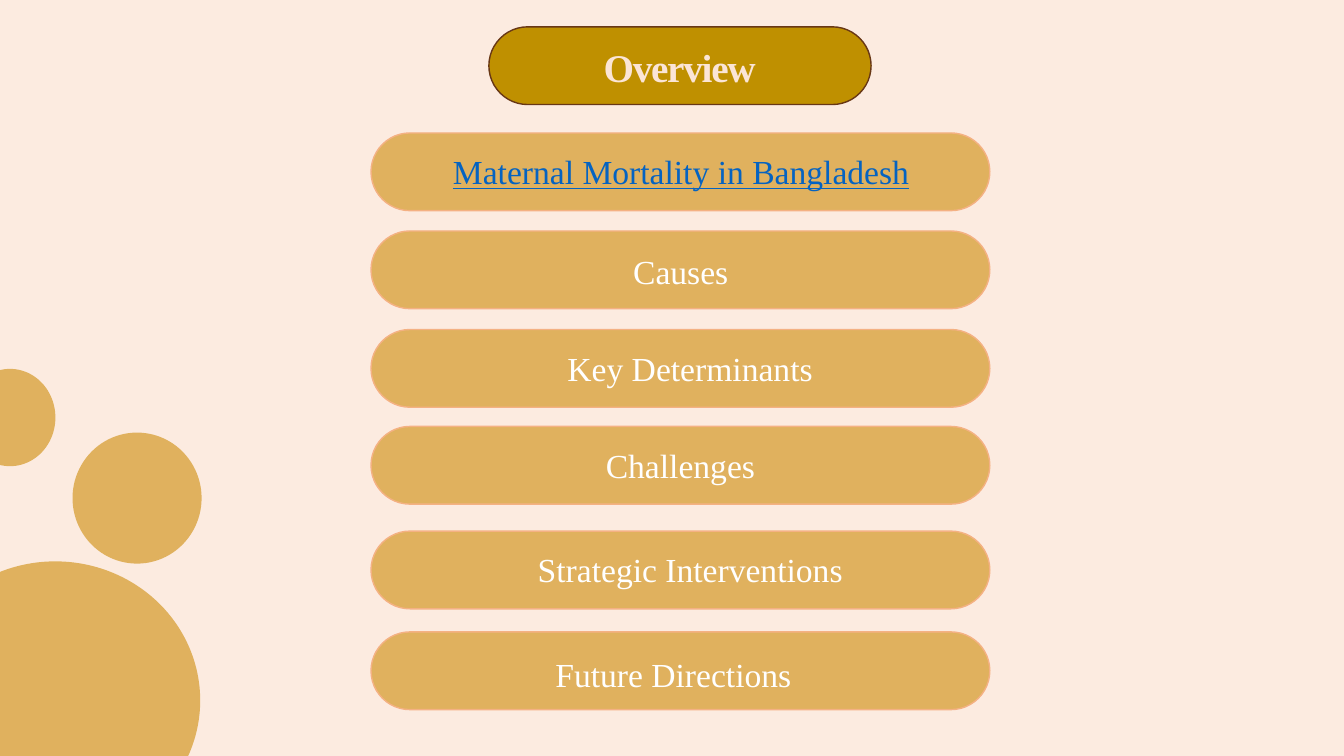
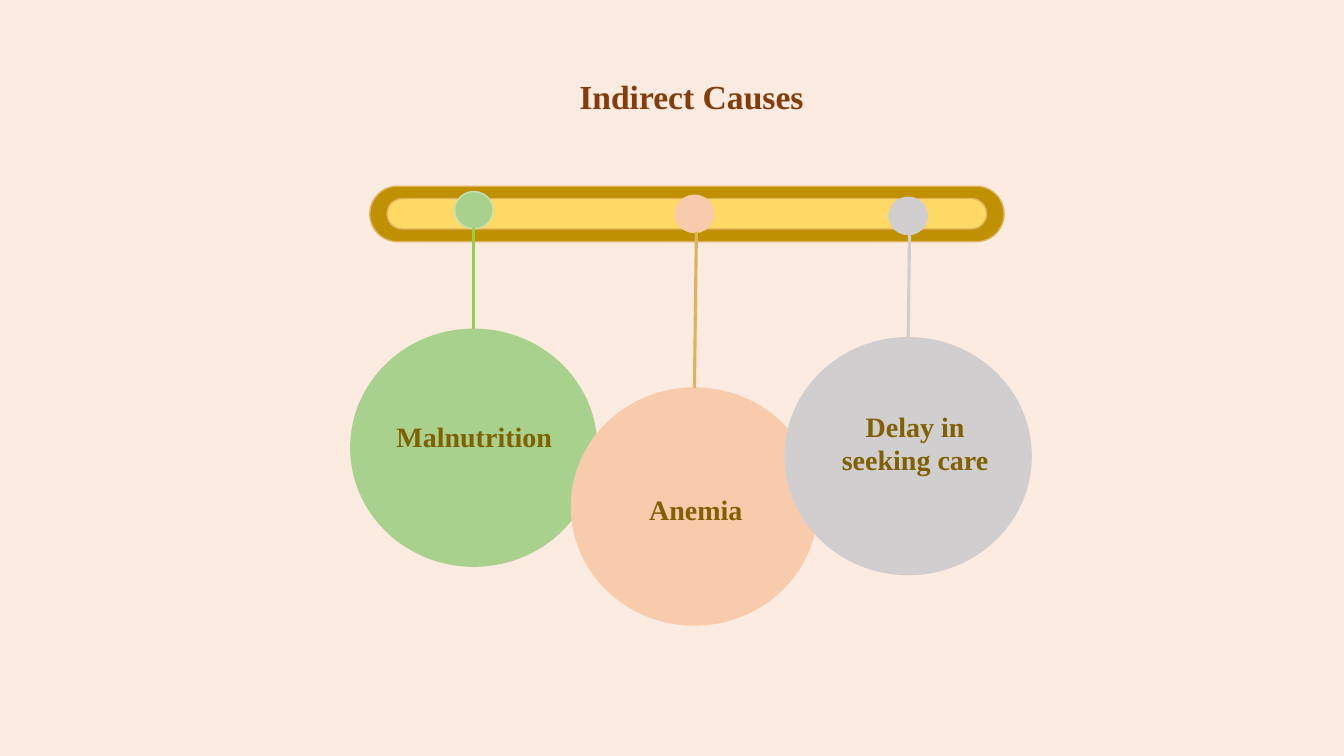
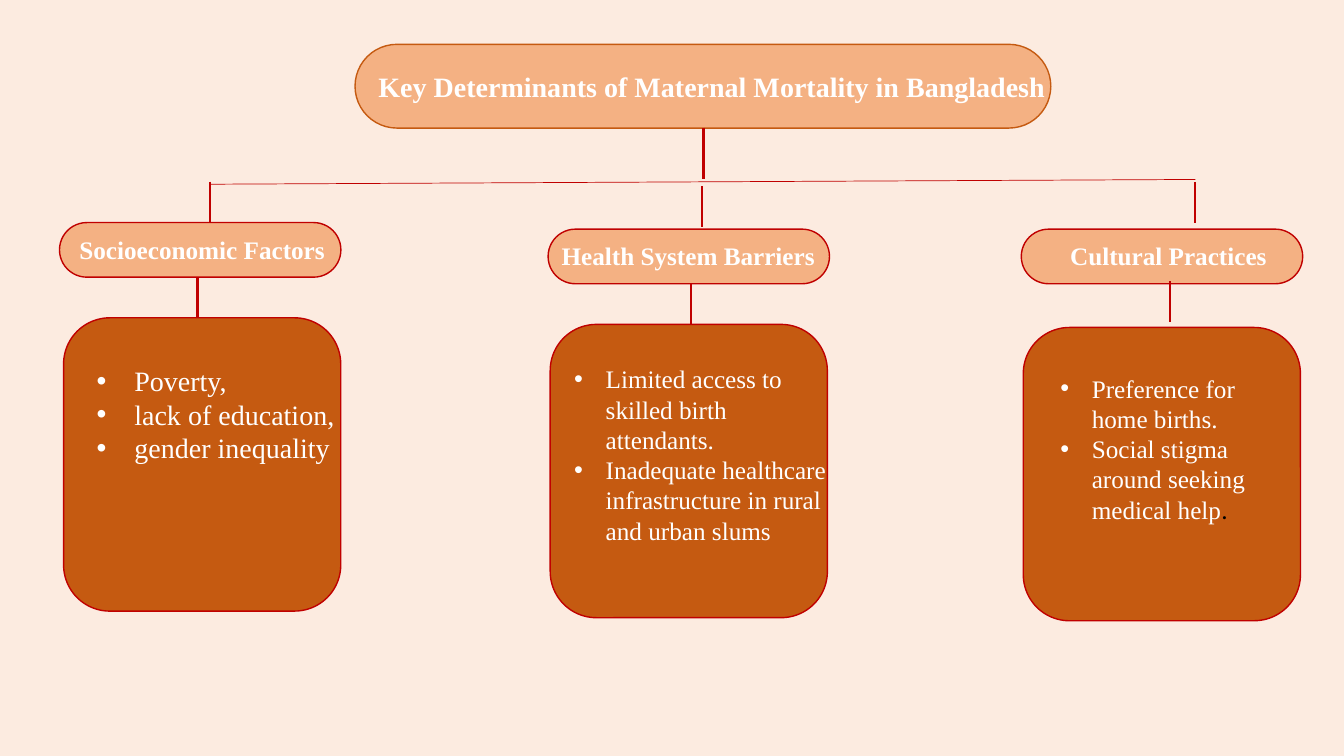
from dataclasses import dataclass

from pptx import Presentation
from pptx.dml.color import RGBColor
from pptx.enum import shapes, text
from pptx.oxml.ns import qn
from pptx.util import Pt
from lxml import etree


@dataclass(frozen=True)
class Theme:
    face: str = "Times New Roman"
    plain: str = "Calibri"
    back: str = "FCEBE0"
    gold: str = "BF9000"
    sand: str = "E0B15E"
    yellow: str = "FFD966"
    peach: str = "F4B183"
    rust: str = "C55A11"
    red: str = "C00000"
    umber: str = "683715"
    brown: str = "843C0B"
    olive: str = "806000"
    cream: str = "FBE5D6"
    blue: str = "0563C1"
    white: str = "FFFFFF"
    black: str = "000000"
    green: str = "A9D18E"
    mint: str = "C5E0B4"
    lime: str = "92D050"
    blush: str = "F8CBAD"
    gray: str = "D0CECE"
    banner: int = 28
    head: int = 24
    body: int = 20
    small: int = 18


T = Theme()
ROUND = shapes.MSO_SHAPE.ROUNDED_RECTANGLE
OVAL = shapes.MSO_SHAPE.OVAL
RECT = shapes.MSO_SHAPE.RECTANGLE


def shape(slide, kind, box, fill, edge=None, bend=None):
    item = slide.shapes.add_shape(kind, *map(Pt, box))
    item.shadow.inherit = False
    item.fill.solid()
    item.fill.fore_color.rgb = RGBColor.from_string(fill)
    if edge:
        item.line.color.rgb = RGBColor.from_string(edge)
        item.line.width = Pt(1)
    else:
        item.line.fill.background()
    if bend is not None:
        item.adjustments[0] = bend
    return item


def pill(slide, box, fill, edge):
    return shape(slide, ROUND, box, fill, edge, 0.5)


def line(slide, start, end, color, width):
    item = slide.shapes.add_connector(
        shapes.MSO_CONNECTOR.STRAIGHT, *map(Pt, (*start, *end)))
    item.line.color.rgb = RGBColor.from_string(color)
    item.line.width = Pt(width)
    etree.SubElement(item.element.spPr, qn("a:effectLst"))


def style(run, size, color, face=T.face, **form):
    run.font.color.rgb = RGBColor.from_string(color)
    for name, value in {"size": Pt(size), "name": face, **form}.items():
        setattr(run.font, name, value)


def label(slide, box, words, size, color, para=None, **form):
    """Add one centred line of text; para holds paragraph format values."""
    frame = textbox(slide, box)
    par = frame.paragraphs[0]
    values = {"alignment": text.PP_ALIGN.CENTER, **(para or {})}
    for name, value in values.items():
        setattr(par, name, value)
    run = par.add_run()
    run.text = words
    style(run, size, color, **form)
    return run


def textbox(slide, box):
    frame = slide.shapes.add_textbox(*map(Pt, box)).text_frame
    frame.word_wrap = True
    frame.auto_size = text.MSO_AUTO_SIZE.SHAPE_TO_FIT_TEXT
    return frame


def bullets(slide, box, items, size, indent):
    """Add a bulleted list; an item is a list of (words, format) runs."""
    frame = textbox(slide, box)
    for i, runs in enumerate(items):
        par = frame.add_paragraph() if i else frame.paragraphs[0]
        props = par._p.get_or_add_pPr()
        props.set("marL", str(Pt(indent)))
        props.set("indent", str(-Pt(indent)))
        etree.SubElement(props, qn("a:buFont"), typeface="Arial")
        etree.SubElement(props, qn("a:buChar"), char="•")
        for words, form in runs:
            run = par.add_run()
            run.text = words
            style(run, size, **{"color": T.white, **form})


def banner(slide, x, y):
    pill(slide, (x, y, 273, 55.5), T.gold, T.umber)
    box = (x + 31.5, y + 8, 209.5, 41)
    shape(slide, RECT, box, T.gold)
    run = label(slide, box, "Overview", T.banner, T.cream, bold=True)
    run.font._element.set("spc", "-90")


def topic(slide, x, y, words, dx, dy, width, **form):
    pill(slide, (x, y, 442, 55.5), T.sand, T.peach)
    label(slide, (x + dx, y + dy, width, 36), words, T.head,
          **{"color": T.white, **form})


def overview(slide):
    banner(slide, 349.2, 19.2)
    link = {"color": T.blue, "underline": True}
    for y, words, dx, dy, width, form in (
            (95, "Maternal Mortality in Bangladesh", 29.5, 9.4, 384, link),
            (165, "Causes", 69, 10.8, 304.5, {}),
            (235.4, "Key Determinants", 13.7, 9.4, 428.4, {}),
            (304.6, "Challenges", 0, 10, 442, {}),
            (379.4, "Strategic Interventions", 36, 9.4, 384, {}),
            (451.4, "Future Directions", 44, 12.2, 344, {})):
        topic(slide, 265, y, words, dx, dy, width, **form)
    for box in ((-64, 401, 207, 198.7), (51.8, 309, 92.2, 93.6),
                (-25.2, 263.5, 64.8, 69.5)):
        shape(slide, OVAL, box, T.sand)


def rail(slide, x, y):
    pill(slide, (x, y, 453, 39.6), T.gold, T.sand)
    pill(slide, (x + 12.2, y + 8.8, 428.4, 21.8), T.yellow, T.sand)


def pendant(slide, x, y, knob, lean, words, spot, fill, rim, cord, para):
    """Hang a disc at x, y from a knob on the rail."""
    wide, tall = 175.7, 169.2
    mid = x + wide / 2
    shape(slide, OVAL, (x, y, wide, tall), fill, fill)
    shape(slide, OVAL, (mid - 13.7, knob, 27.4, 26.6), fill, rim)
    line(slide, (mid + lean, knob + 26), (mid, y), cord, 2.25)
    dx, dy, width, height = spot
    label(slide, (x + dx, y + dy, width, height), words,
          T.body, T.olive, para, bold=True)


def causes(slide):
    rail(slide, 264.2, 133)
    loose = {"line_spacing": 1.15, "space_after": Pt(10)}
    for row in (
            (250.6, 235.2, 136.8, 0, "Malnutrition", (22.3, 57.6, 131.8, 35),
             T.green, T.mint, T.lime, loose),
            (408.2, 277.2, 139.5, 1.4, "Anemia", (43.2, 67.7, 91.4, 35),
             T.blush, T.blush, T.sand, loose),
            (560.9, 241.2, 141, 0.9, "Delay in seeking care",
             (18.7, 47.5, 148.3, 55.4), T.gray, T.gray, T.gray, None)):
        pendant(slide, *row)
    label(slide, (352.8, 50.4, 282.2, 36), "Indirect Causes",
          T.head, T.brown, bold=True)


def heading(slide, x, y):
    pill(slide, (x, y, 497, 59.8), T.peach, T.rust)
    label(slide, (x, y + 14.4, 509.8, 31.7),
          "Key Determinants of Maternal Mortality in Bangladesh",
          T.body, T.white, bold=True)


def column(slide, x, y, title, name, drop, stem, card, area, size, indent,
           items):
    """Place a titled card with its drop line and stem; offsets from x, y."""
    pill(slide, (x, y, 201, 39), T.peach, T.red)
    dx, dy, width = name
    label(slide, (x + dx, y + dy, width, 29), title, T.small, T.white,
          bold=True)
    shape(slide, ROUND, (x + card[0], y + card[1], 198, 209.5),
          T.rust, T.red)
    for dx, dy in (drop, stem):
        line(slide, (x + dx, y + dy), (x + dx, y + dy + 29.3), T.red, 1.5)
    dx, dy, width, height = area
    bullets(slide, (x + dx, y + dy, width, height), items, size, indent)


def factors(slide):
    heading(slide, 253.6, 31.7)
    line(slide, (502.6, 91.4), (502.6, 128.2), T.red, 2.25)
    line(slide, (149.8, 131.6), (853.9, 128.2), T.red, 0.5)
    dot = {"face": T.plain, "color": T.black}
    for row in (
            (42.5, 159, "Socioeconomic Factors", (2.9, 4.5, 198),
             (107.3, -29.3), (98.6, 39), (2.9, 68), (19.4, 97.3, 192.2, 80),
             T.body, 27,
             ([("Poverty,", {})], [("lack of education,", {})],
              [("gender inequality", {})])),
            (391.5, 163.7, "Health System Barriers", (-5, 4.7, 210.2),
             (110.2, -30.7), (102.2, 38.9), (1.5, 68),
             (11.6, 92.6, 194.4, 160), T.small, 22.5,
             ([("Limited access to skilled birth attendants.", {})],
              [("Inadequate healthcare infrastructure in rural "
                "and urban slums", {})])),
            (729.5, 163.7, "Cultural Practices", (21.6, 4.7, 167),
             (124.4, -33.8), (106.4, 37.2), (1.4, 70.2),
             (20.8, 99.1, 167.8, 138), T.small, 22.5,
             ([("Preference for home births.", {})],
              [("Social stigma around seeking medical help", {}),
               (".", dot)]))):
        column(slide, *row)


def main():
    deck = Presentation()
    deck.slide_width, deck.slide_height = Pt(960), Pt(540)
    fill = deck.slide_master.background.fill
    fill.solid()
    fill.fore_color.rgb = RGBColor.from_string(T.back)
    for build in (overview, causes, factors):
        build(deck.slides.add_slide(deck.slide_layouts[6]))
    deck.save("out.pptx")


if __name__ == "__main__":
    main()
